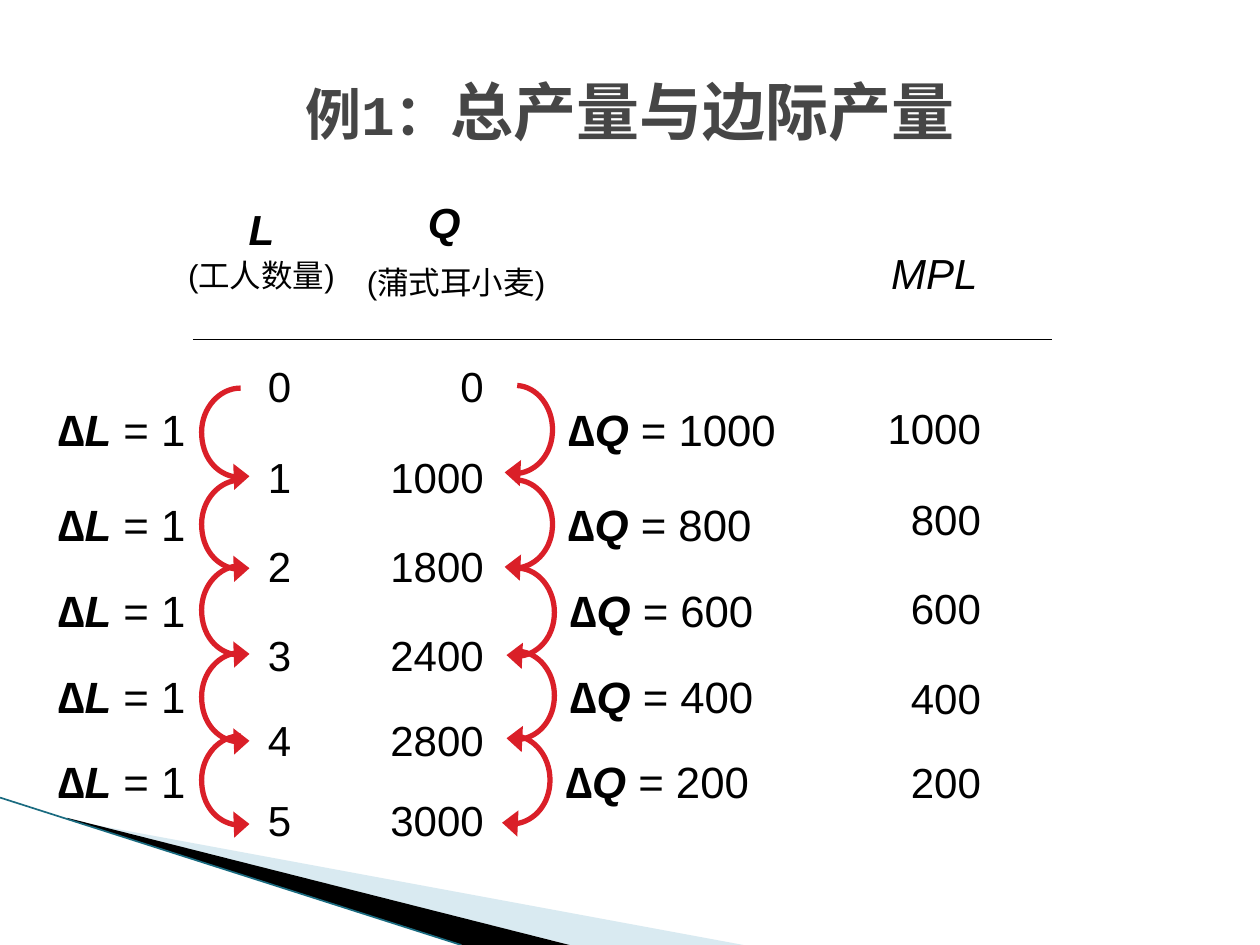
from dataclasses import dataclass

from lxml.etree import SubElement
from pptx import Presentation
from pptx.dml.color import RGBColor
from pptx.enum.shapes import MSO_CONNECTOR
from pptx.enum.text import MSO_ANCHOR, PP_ALIGN
from pptx.oxml.ns import qn
from pptx.util import Inches, Pt

BLACK = RGBColor(0x00, 0x00, 0x00)
GREY = RGBColor(0x46, 0x46, 0x46)
RED = RGBColor(0xDA, 0x1F, 0x28)
PALE = RGBColor(0xA0, 0xCB, 0xDC)
TEAL = RGBColor(0x1A, 0x6B, 0x80)

# Grid of 100 columns by 75 rows on a 10 x 7.5 inch slide
deck = Presentation()
deck.slide_width, deck.slide_height = Inches(10), Inches(7.5)
CELL = deck.slide_width // 100
slide = deck.slides.add_slide(deck.slide_layouts[6])
shapes = slide.shapes


@dataclass
class Run:
    text: str
    size: float = 24
    bold: bool = False
    slant: bool = False
    face: str = "Arial"
    tint: RGBColor = BLACK


@dataclass
class Step:
    gain: int      # extra output from one more worker
    arc_l: float   # top row of the left arc
    arc_q: float   # top row of the right arc
    label: float   # top row of the labels
    shift: float   # column shift of the right side


def grid(*cells: float) -> list[int]:
    return [round(cell * CELL) for cell in cells]


def add_text(area: tuple, lines: list[list[Run]], align: PP_ALIGN,
             pads: tuple = (1, 1), wrap: bool = True, lead: float = 1.0):
    frame = shapes.add_textbox(*grid(*area)).text_frame
    frame.word_wrap = wrap
    frame.vertical_anchor = MSO_ANCHOR.MIDDLE
    frame.margin_left, frame.margin_right = grid(*pads)
    for row, line in enumerate(lines):
        para = frame.add_paragraph() if row else frame.paragraphs[0]
        para.alignment = align
        para.line_spacing = lead
        if row:
            para.space_before = Pt(8)
        for part in line:
            if part.text == "\v":
                para.add_line_break()
                continue
            run = para.add_run()
            run.text = part.text
            font = run.font
            font.name, font.size = part.face, Pt(part.size)
            font.bold, font.italic = part.bold, part.slant
            font.color.rgb = part.tint
    return frame


def add_line(start: tuple, end: tuple, tint: RGBColor, width: float) -> None:
    line = shapes.add_connector(MSO_CONNECTOR.STRAIGHT, *grid(*start, *end))
    line.line.color.rgb = tint
    line.line.width = Pt(width)
    SubElement(line._element.spPr, qn("a:effectLst"))


def add_path(points: list[tuple], close: bool):
    first, *rest = [grid(*point) for point in points]
    pen = shapes.build_freeform(*first)
    pen.add_line_segments(rest, close=close)
    shape = pen.convert_to_shape()
    shape.shadow.inherit = False
    return shape


def add_wedge(points: list[tuple], tint: RGBColor, alpha: int = 100) -> None:
    wedge = add_path(points, True)
    wedge.fill.solid()
    wedge.fill.fore_color.rgb = tint
    wedge.line.fill.background()
    if alpha < 100:
        color = wedge._element.spPr.find(".//" + qn("a:srgbClr"))
        SubElement(color, qn("a:alpha"), val=str(alpha * 1000))


def add_arc(left: float, top: float, knots: list[tuple]) -> None:
    arc = add_path([(left + x, top + y) for x, y in knots], False)
    # Each three points after the first make one Bezier curve
    path = arc._element.spPr.find(".//" + qn("a:path"))
    legs = path.findall(qn("a:lnTo"))
    for i in range(0, len(legs), 3):
        curve = SubElement(path, qn("a:cubicBezTo"))
        for leg in legs[i:i + 3]:
            curve.append(leg[0])
            path.remove(leg)
    arc.fill.background()
    arc.line.color.rgb = RED
    arc.line.width = Pt(3)
    SubElement(arc.line._get_or_add_ln(), qn("a:tailEnd"),
               type="triangle", w="lg", len="med")


def add_value(left: float, top: float, width: float, high: float, value: int) -> None:
    add_text((left, top, width, high), [[Run(str(value))]],
             PP_ALIGN.RIGHT, (0, 2.5), lead=1.05)


def delta(name: str, value: int) -> list[Run]:
    return [Run("∆", 25, True), Run(name, 25, True, True), Run(f" = {value}", 25)]


# Corner wedges
add_wedge([(5.5, 65.1), (59, 75), (45.2, 75), (5.5, 65)], PALE, 40)
add_wedge([(5.3, 64.9), (45.2, 75), (36.7, 75), (5.4, 65)], BLACK)
add_line((0, 63.3), (36.6, 75), TEAL, 0.95)

# Title
add_text((4, 5.05, 92, 7.4),
         [[Run("例1：", 32, True, face="Courier New", tint=GREY),
           Run("总产量与边际产量", 36, True, face="Courier New", tint=GREY)]],
         PP_ALIGN.CENTER)

# Column heads; the unit below Q sits a little to its right
head = add_text((26.3, 12.45, 17.9, 14.4),
                [[Run("Q", bold=True, slant=True)], [Run("(蒲式耳小麦)", 18)]],
                PP_ALIGN.CENTER, (0, 0), lead=1.05)
unit = head.paragraphs[1]._p.get_or_add_pPr()
unit.set("marL", str(Inches(0.19)))
unit.set("indent", "0")
add_text((13.35, 12.45, 14.8, 14.4),
         [[Run("L", bold=True, slant=True), Run("\v"), Run("(工人数量)", 18)]],
         PP_ALIGN.CENTER, (0, 0), lead=1.05)
add_text((69.1, 14.35, 10.1, 14.4), [[Run("MPL", slant=True)]],
         PP_ALIGN.CENTER, (0, 0), lead=1.05)
for start, end in ((15.3, 42), (18.8, 83.5)):
    add_line((start, 26.95), (end, 26.95), BLACK, 0.75)

STEPS = [
    Step(1000, 30.8, 30.6, 31.45, 0),
    Step(800, 38.1, 38.1, 38.95, 0),
    Step(600, 44.9, 45.1, 45.8, 0.15),
    Step(400, 51.8, 51.7, 52.65, 0.15),
    Step(200, 58.4, 58.4, 59.35, -0.2),
]
EDGES = [26.75, 34.25, 41.25, 48.4, 55.4, 61.75, 68.15]

# Workers, total output and marginal product
total = 0
for count, (top, low) in enumerate(zip(EDGES, EDGES[1:])):
    high = low - top
    add_text((15.2, top, 13, high), [[Run(str(count))]],
             PP_ALIGN.CENTER, (1, 0), lead=1.05)
    add_value(28.2, top, 12.7, high, total)
    if count < len(STEPS):
        gain = STEPS[count].gain
        add_value(70.25, top + 3.35, 10.1, high, gain)
        total += gain

# Change from row to row
ARC_L = [(3.1, 0), (1.4, 0), (0, 1.6), (0, 3.5), (0, 5.5),
         (1.4, 7.1), (3.1, 7.1), (3.3, 7.1), (3.55, 7.05), (3.8, 7)]
ARC_Q = [(1, 0), (2.6, 0.1), (3.8, 1.7), (3.8, 3.5), (3.8, 5.4),
         (2.4, 7), (0.75, 7), (0.5, 7), (0.25, 7), (0, 6.9)]
for step in STEPS:
    add_arc(40.05 + step.shift, step.arc_q, ARC_Q)
    add_text((44.1 + step.shift, step.label, 18.5 if step.gain > 999 else 16.6, 5.2),
             [delta("Q", step.gain)], PP_ALIGN.LEFT, wrap=False)
    add_arc(16, step.arc_l, ARC_L)
    add_text((3.4, step.label, 12.3, 5.2), [delta("L", 1)], PP_ALIGN.RIGHT)

deck.save("out.pptx")
